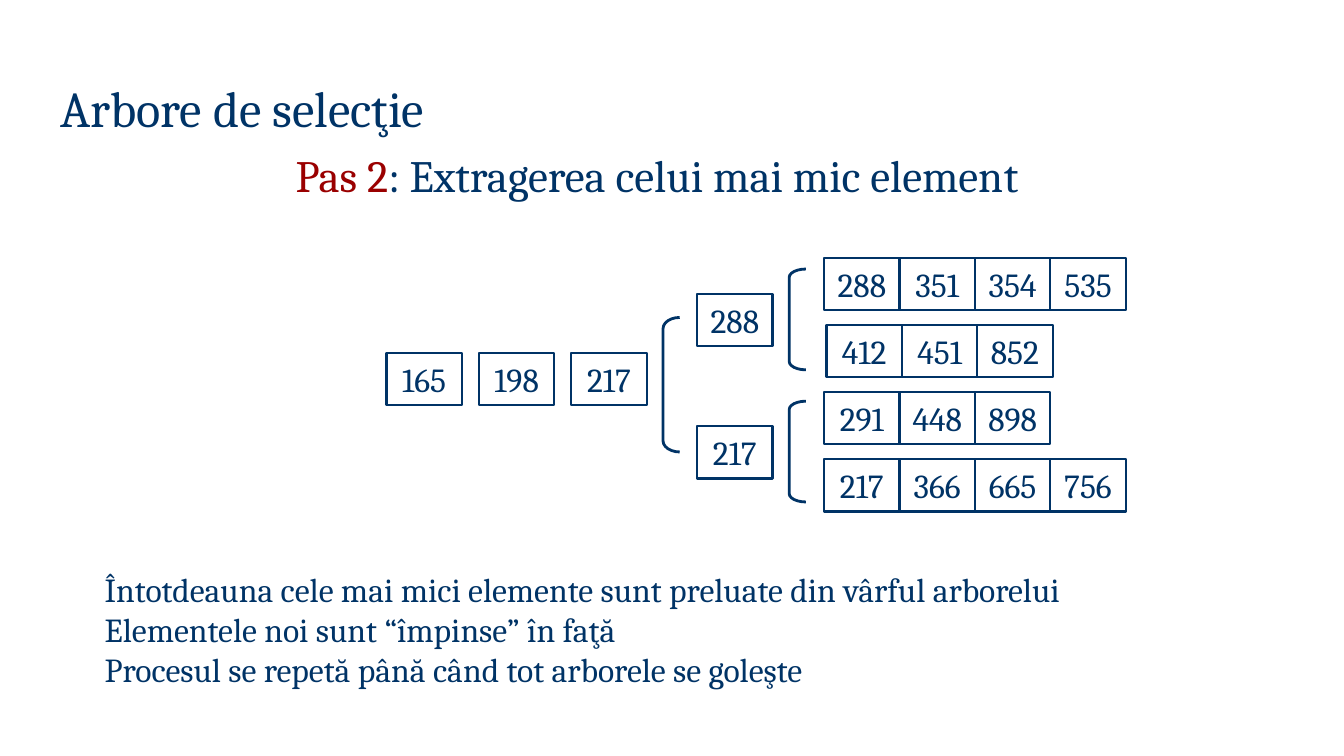
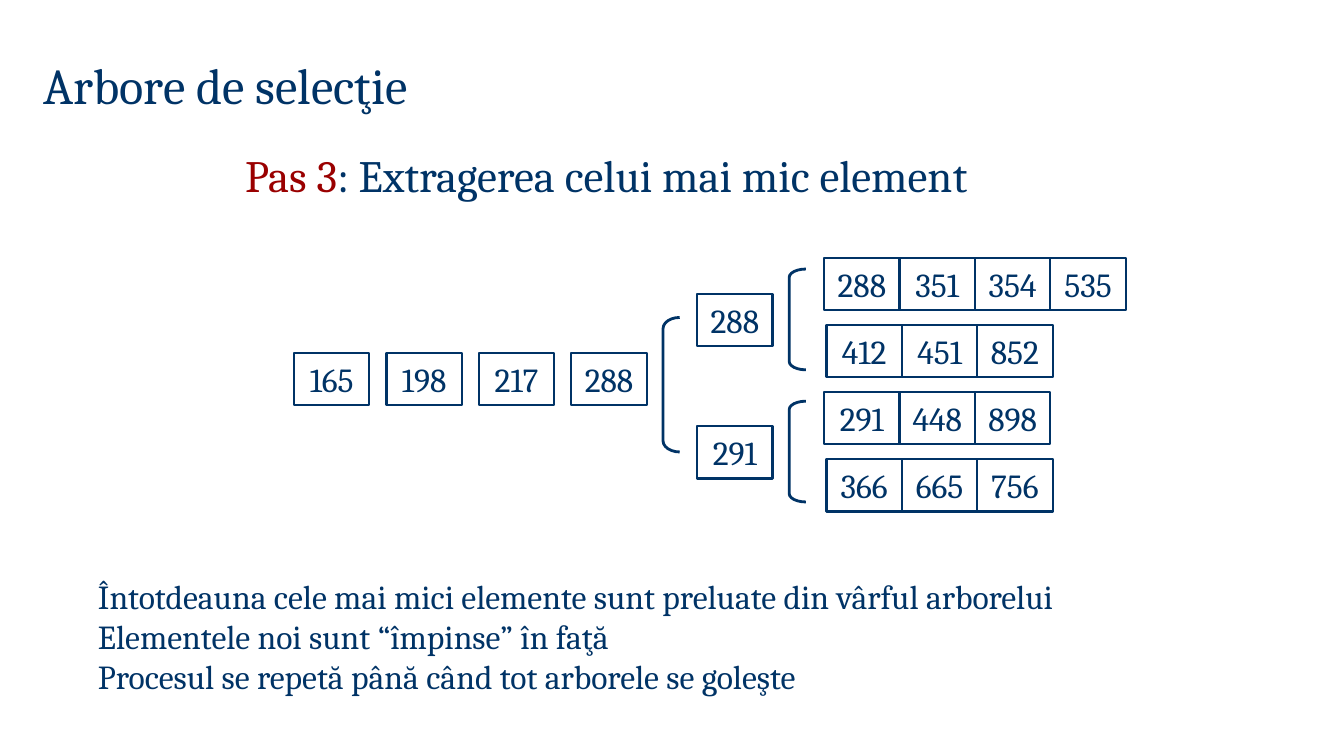
from pptx import Presentation
from pptx.dml.color import RGBColor
from pptx.enum.shapes import MSO_SHAPE
from pptx.enum.text import MSO_ANCHOR, PP_ALIGN
from pptx.util import Cm, Pt

NAVY = RGBColor(0x00, 0x33, 0x66)
RED = RGBColor(0x9A, 0x00, 0x00)
WHITE = RGBColor(0xFF, 0xFF, 0xFF)
FONT = "Cambria"
RECT, BRACKET = MSO_SHAPE.RECTANGLE, MSO_SHAPE.LEFT_BRACKET
TOP, MIDDLE, BOTTOM = MSO_ANCHOR.TOP, MSO_ANCHOR.MIDDLE, MSO_ANCHOR.BOTTOM
LEFT, CENTER = PP_ALIGN.LEFT, PP_ALIGN.CENTER

# Cell size, and the steps between rows and queue cells, in cm
CELL_W, CELL_H = 1.9, 1.32
ROW_TOP, ROW_STEP = 6.5, 1.69
QUEUE_END, QUEUE_STEP = 14.4, 2.33

TITLE = "Arbore de selecţie"
STEP = ": Extragerea celui mai mic element"
NOTES = [
    "Întotdeauna cele mai mici elemente sunt preluate din vârful arborelui",
    "Elementele noi sunt “împinse” în faţă",
    "Procesul se repetă până când tot arborele se goleşte",
]
# Left, top, height and curve of each bracket
BRACKETS = [(19.89, 6.78, 2.54, 0.5), (19.89, 10.11, 2.54, 0.5),
            (16.71, 8, 3.39, 0.67)]

# Each row of the tree: left edge, then its values
ROWS = [(20.77, [288, 351, 354, 535]), (20.83, [412, 451, 852]),
        (20.77, [291, 448, 898])]
SLIDES = [
    dict(step="Pas 2", title=(1.27, 1.8), sub=7.2, notes=(2.39, 14.2),
         queue=[165, 198, 217], heads=[288, 217],
         rows=ROWS + [(20.77, [217, 366, 665, 756])]),
    dict(step="Pas 3", title=(0.85, 1.22), sub=5.93, notes=(2.22, 14.38),
         queue=[165, 198, 217, 288], heads=[288, 291],
         rows=ROWS + [(20.83, [366, 665, 756])]),
]


def write(shape, lines, size=24, align=LEFT, anchor=TOP):
    """Fill a shape with lines, each a list of (text, colour) runs."""
    frame = shape.text_frame
    frame.word_wrap = True
    frame.vertical_anchor = anchor
    for i, runs in enumerate(lines):
        para = frame.add_paragraph() if i else frame.paragraphs[0]
        para.alignment = align
        for text, color in runs:
            run = para.add_run()
            run.text = text
            run.font.name = FONT
            run.font.size = Pt(size)
            run.font.color.rgb = color


def cell(slide, value, x, y):
    """Draw one number in a box."""
    box = slide.shapes.add_shape(RECT, Cm(x), Cm(y), Cm(CELL_W), Cm(CELL_H))
    box.shadow.inherit = False
    box.fill.solid()
    box.fill.fore_color.rgb = WHITE
    box.line.color.rgb = NAVY
    box.line.width = Pt(1.5)
    write(box, [[(str(value), NAVY)]], align=CENTER, anchor=MIDDLE)


prs = Presentation()
prs.slide_width, prs.slide_height = Cm(33.87), Cm(19.05)

for data in SLIDES:
    slide = prs.slides.add_slide(prs.slide_layouts[6])
    shapes = slide.shapes

    # Title, step and notes
    x, y = data["title"]
    box = shapes.add_textbox(Cm(x), Cm(y), Cm(29), Cm(1.8))
    write(box, [[(TITLE, NAVY)]], size=36, anchor=BOTTOM)
    box = shapes.add_textbox(Cm(data["sub"]), Cm(3.6), Cm(23.5), Cm(1.8))
    write(box, [[(data["step"], RED), (STEP, NAVY)]], size=32)
    x, y = data["notes"]
    box = shapes.add_textbox(Cm(x), Cm(y), Cm(31), Cm(3.33))
    write(box, [[(note, NAVY)] for note in NOTES])

    # Rows at the leaves of the tree
    for i, (x, row) in enumerate(data["rows"]):
        for j, value in enumerate(row):
            cell(slide, value, x + j * CELL_W, ROW_TOP + i * ROW_STEP)

    # Heads of the two branches
    for value, y in zip(data["heads"], (7.41, 10.74)):
        cell(slide, value, 17.57, y)

    # Extracted values, filled up to the root
    for i, value in enumerate(reversed(data["queue"])):
        cell(slide, value, QUEUE_END - i * QUEUE_STEP, 8.89)

    # Brackets that join the levels
    for x, y, height, curve in BRACKETS:
        mark = shapes.add_shape(BRACKET, Cm(x), Cm(y), Cm(0.42), Cm(height))
        mark.adjustments[0] = curve
        mark.shadow.inherit = False
        mark.fill.background()
        mark.line.color.rgb = NAVY
        mark.line.width = Pt(2)

prs.save("out.pptx")
